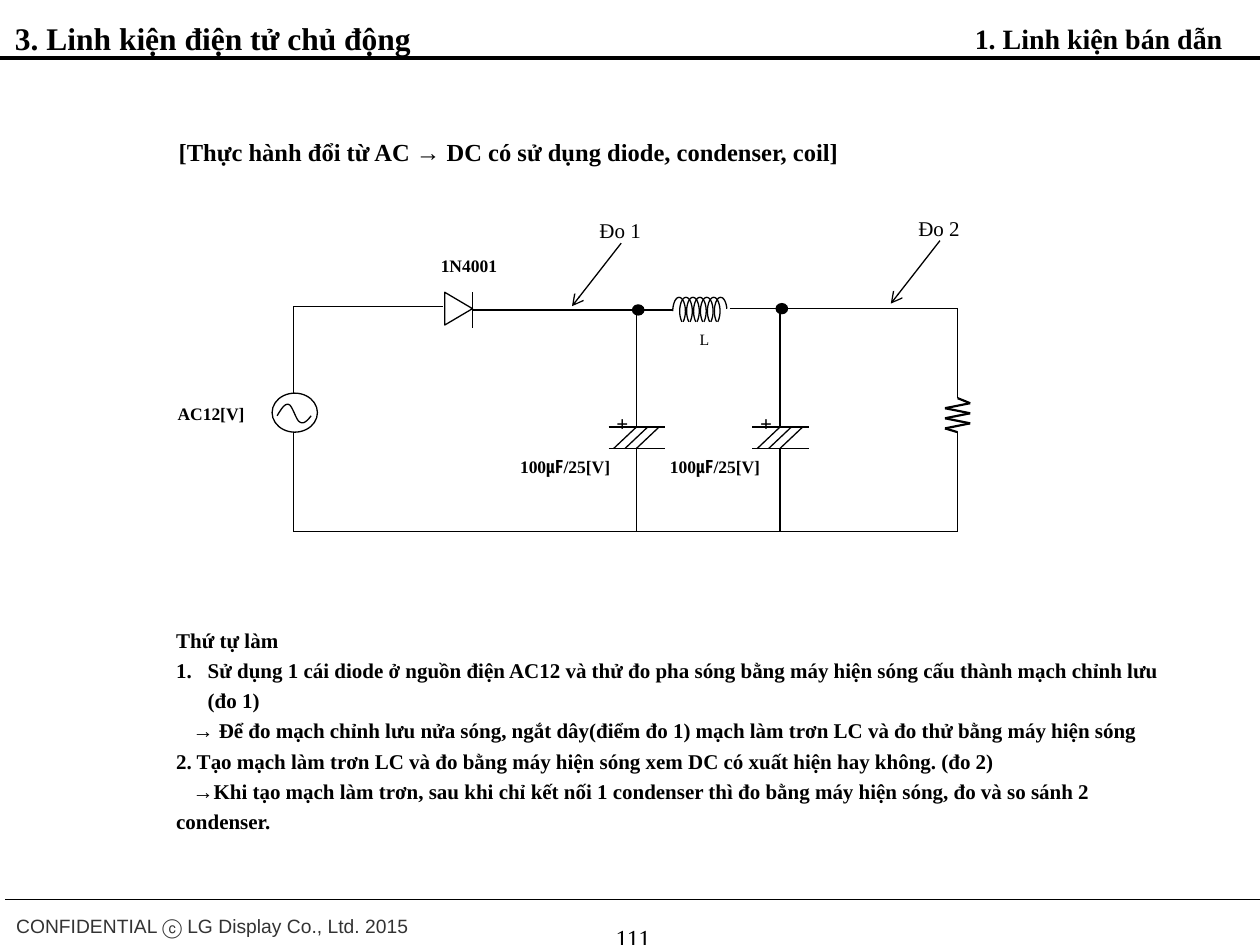
from itertools import pairwise
from math import cos, radians, sin

from lxml.etree import SubElement
from pptx import Presentation
from pptx.dml.color import RGBColor
from pptx.enum.shapes import MSO_CONNECTOR as Connector, MSO_SHAPE as Shape
from pptx.enum.text import MSO_ANCHOR as Anchor, PP_ALIGN as Align
from pptx.oxml.ns import qn
from pptx.util import Inches, Pt

BLACK, WHITE, GRAY = "000000", "FFFFFF", "333333"
SERIF = "Times New Roman"

STEPS = [
    ("Thứ tự làm", {}),
    ("Sử dụng 1 cái diode ở nguồn điện AC12 và thử đo pha sóng bằng máy hiện sóng "
     "cấu thành mạch chỉnh lưu (đo 1)", {"left": 0.25, "indent": -0.25, "numbered": True}),
    ("→ Để đo mạch chỉnh lưu nửa sóng, ngắt dây(điểm đo 1) mạch làm trơn LC và đo thử "
     "bằng máy hiện sóng", {"indent": 0.13}),
    ("2. Tạo mạch làm trơn LC và đo bằng máy hiện sóng xem DC có xuất hiện hay không. (đo 2)", {}),
    ("→Khi tạo mạch làm trơn, sau khi chỉ kết nối 1 condenser thì đo bằng máy hiện sóng, "
     "đo và so sánh 2 condenser.", {"indent": 0.13}),
]

LEFT, RIGHT, TOP, BOTTOM = 2.33, 7.6, 2.43, 4.22
PLATE_TOP, PLATE_BOTTOM = 3.39, 3.56
WIRES = [
    ((LEFT, TOP), (3.52, TOP)),
    ((LEFT, TOP), (LEFT, 3.12)),
    ((LEFT, 3.43), (LEFT, BOTTOM)),
    ((LEFT, BOTTOM), (RIGHT, BOTTOM)),
    ((3.75, 2.32), (3.75, 2.6)),
    ((3.75, 2.46), (5.33, 2.46)),
    ((5.79, 2.45), (RIGHT, 2.45)),
    ((RIGHT, 2.45), (RIGHT, 3.16)),
    ((RIGHT, 3.43), (RIGHT, BOTTOM)),
]
SINE_CURVES = [
    ((2.2, 3.3), (2.23, 3.25), (2.26, 3.2), (2.29, 3.21)),
    ((2.29, 3.21), (2.32, 3.21), (2.35, 3.34), (2.38, 3.35)),
    ((2.38, 3.35), (2.41, 3.37), (2.44, 3.34), (2.47, 3.3)),
]


def color(value):
    return RGBColor.from_string(value)


def add_line(shapes, start, end, width=0.75, arrow=False):
    line = shapes.add_connector(Connector.STRAIGHT, *map(Inches, (*start, *end)))
    line.line.width = Pt(width)
    line.line.color.rgb = color(BLACK)
    properties = line._element.spPr
    if arrow:
        SubElement(properties.find(qn("a:ln")), qn("a:tailEnd"), type="arrow")
    SubElement(properties, qn("a:effectLst"))


def outline(shape, fill=None):
    shape.shadow.inherit = False
    if fill:
        shape.fill.solid()
        shape.fill.fore_color.rgb = color(fill)
    else:
        shape.fill.background()
    shape.line.color.rgb = color(BLACK)
    shape.line.width = Pt(0.75)


def add_preset(shapes, kind, box, fill=None, rotation=0):
    shape = shapes.add_shape(kind, *map(Inches, box))
    shape.rotation = rotation
    outline(shape, fill)


def add_curve(shapes, points):
    points = [(Inches(x), Inches(y)) for x, y in points]
    builder = shapes.build_freeform(*points[0])
    builder.add_line_segments(points[1:], close=False)
    outline(builder.convert_to_shape())


def format_paragraph(paragraph, left=0, indent=0, numbered=False):
    properties = paragraph._p.get_or_add_pPr()
    properties.set("marL", str(Inches(left)))
    properties.set("indent", str(Inches(indent)))
    if numbered:
        SubElement(properties, qn("a:buFont"), typeface="+mj-lt")
        SubElement(properties, qn("a:buAutoNum"), type="arabicPeriod")


def add_text(shapes, box, paragraphs, size, bold=False, font=SERIF, ink=BLACK,
             align=Align.LEFT, wrap=False, spacing=1.2, anchor=Anchor.TOP):
    frame = shapes.add_textbox(*map(Inches, box)).text_frame
    frame.word_wrap = wrap
    frame.vertical_anchor = anchor
    if isinstance(paragraphs, str):
        paragraphs = [(paragraphs, {})]
    for index, (text, layout) in enumerate(paragraphs):
        paragraph = frame.add_paragraph() if index else frame.paragraphs[0]
        paragraph.text = text
        paragraph.alignment = align
        paragraph.line_spacing = spacing
        format_paragraph(paragraph, **layout)
        for run in paragraph.runs:
            for name, value in {"size": Pt(size), "bold": bold, "name": font}.items():
                setattr(run.font, name, value)
            run.font.color.rgb = color(ink)


def add_capacitor(shapes, x, wire_top):
    add_line(shapes, (x, wire_top), (x, PLATE_TOP))
    add_line(shapes, (x, PLATE_BOTTOM), (x, BOTTOM))
    for y in (PLATE_TOP, PLATE_BOTTOM):
        add_line(shapes, (x - 0.22, y), (x + 0.23, y))
    for offset in (0, 0.09, 0.18):
        add_line(shapes, (x + offset, PLATE_TOP), (x + offset - 0.18, PLATE_BOTTOM))
    add_preset(shapes, Shape.OVAL, (x - 0.03, wire_top - 0.03, 0.09, 0.08), BLACK)
    add_text(shapes, (x - 0.26, 3.17, 0.3, 0.3), "+", 12, True, align=Align.CENTER)


def add_coil(shapes):
    turns = 7
    for turn in range(turns):
        center = 5.39 + 0.055 * turn
        start = 180 if turn == 0 else 130
        end = 350 if turn == turns - 1 else 410
        angles = [radians(angle) for angle in range(start, end + 1, 10)]
        add_curve(shapes, [(center + 0.05 * cos(a), 2.47 + 0.11 * sin(a)) for a in angles])


def add_resistor(shapes):
    bends = [(RIGHT + (0.1 if i % 2 == 0 else -0.1), 3.2 + 0.04 * i) for i in range(6)]
    points = [(RIGHT, 3.16), *bends, (RIGHT, 3.43)]
    for start, end in pairwise(points):
        add_line(shapes, start, end, 1.25)


def bezier_point(controls, t):
    weights = ((1 - t) ** 3, 3 * t * (1 - t) ** 2, 3 * t * t * (1 - t), t ** 3)
    return tuple(sum(w * v for w, v in zip(weights, axis)) for axis in zip(*controls))


def add_source(shapes):
    add_preset(shapes, Shape.OVAL, (2.16, 3.12, 0.36, 0.31))
    add_curve(shapes, [bezier_point(c, step / 8) for c in SINE_CURVES for step in range(9)])


def add_circuit(shapes):
    for start, end in WIRES:
        add_line(shapes, start, end)
    add_preset(shapes, Shape.ISOSCELES_TRIANGLE, (3.51, 2.34, 0.26, 0.22), WHITE, 90)
    add_capacitor(shapes, 5.05, 2.45)
    add_capacitor(shapes, 6.19, 2.44)
    add_coil(shapes)
    add_source(shapes)
    add_resistor(shapes)
    add_text(shapes, (5.45, 2.54, 0.28, 0.25), "L", 9, align=Align.CENTER)
    add_text(shapes, (1.29, 3.12, 0.77, 0.27), "AC12[V]", 10, True, align=Align.CENTER)
    add_text(shapes, (3.4, 1.94, 0.65, 0.27), "1N4001", 10, True)
    for x in (4.02, 5.21):
        add_text(shapes, (x, 3.54, 0.93, 0.27), "100㎌/25[V]", 10, True,
                 align=Align.CENTER, wrap=True)


def main():
    presentation = Presentation()
    presentation.slide_width, presentation.slide_height = Inches(10), Inches(7.5)
    shapes = presentation.slides.add_slide(presentation.slide_layouts[6]).shapes

    add_text(shapes, (0.03, 7.17, 3.34, 0.3), "CONFIDENTIAL ⓒ LG Display Co., Ltd. 2015",
             11, font="Arial", ink=GRAY)
    add_line(shapes, (0.04, 7.14), (10, 7.14))
    add_line(shapes, (0, 0.46), (10, 0.46), 2.25)
    add_text(shapes, (3.86, 7.18, 2.33, 0.52), "111", 14, align=Align.CENTER, wrap=True,
             spacing=1, anchor=Anchor.MIDDLE)
    add_text(shapes, (0.02, 0.04, 3.38, 0.4), "3. Linh kiện điện tử chủ động", 18, True)
    add_text(shapes, (7.61, 0.07, 2.19, 0.37), "1. Linh kiện bán dẫn", 16, True,
             align=Align.RIGHT)
    add_text(shapes, (1.32, 0.99, 5.53, 0.34),
             "[Thực hành đổi từ AC → DC có sử dụng diode, condenser, coil]", 14, True)
    add_text(shapes, (1.3, 4.89, 8.19, 1.8), STEPS, 12, True, wrap=True)
    add_circuit(shapes.add_group_shape().shapes)
    for label, x, y in (("Đo 1", 4.66, 1.64), ("Đo 2", 7.19, 1.62)):
        add_line(shapes, (x + 0.27, y + 0.29), (x - 0.12, y + 0.79), arrow=True)
        add_text(shapes, (x, y, 0.73, 0.32), label, 12, wrap=True)

    presentation.save("out.pptx")


if __name__ == "__main__":
    main()
